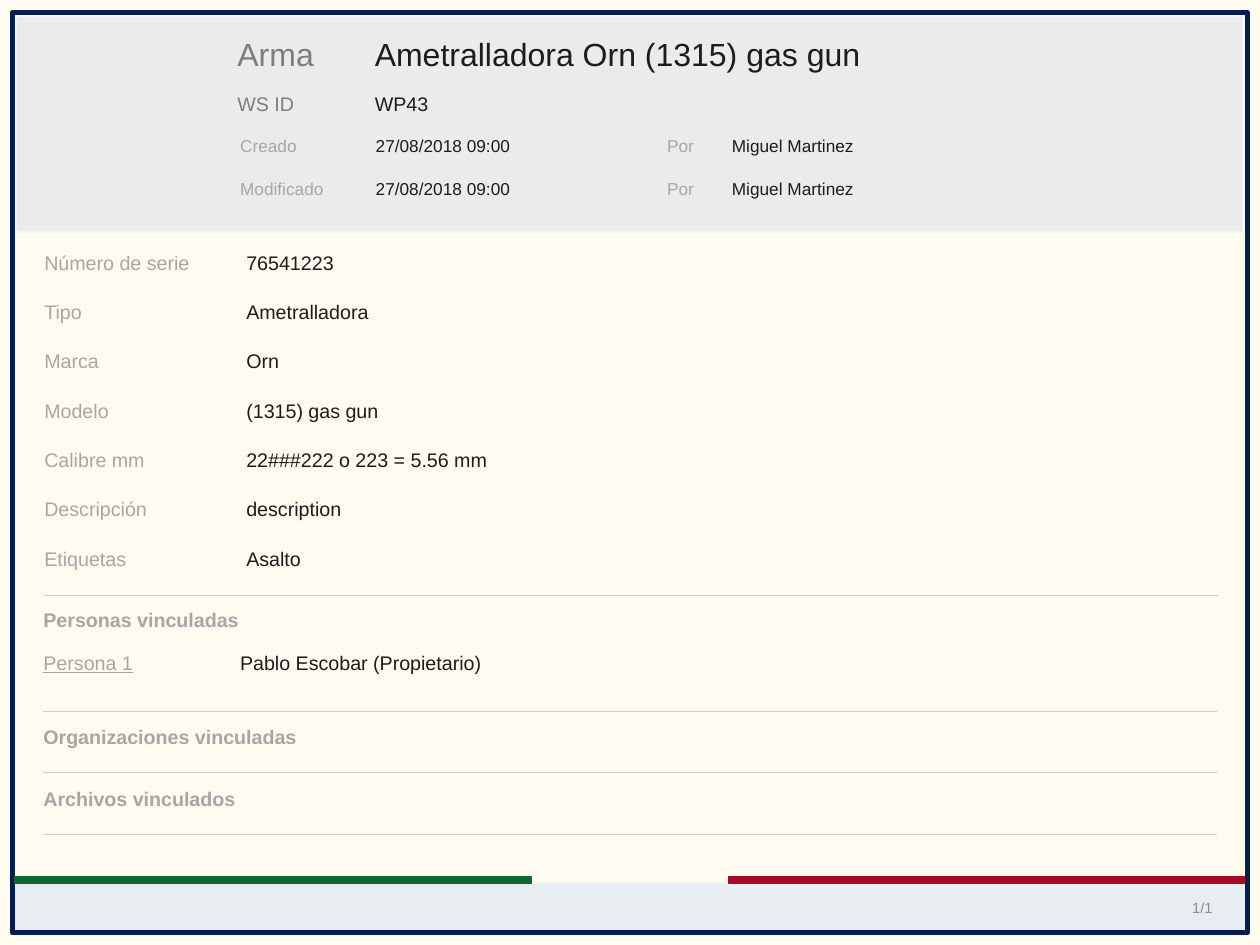
from dataclasses import dataclass

from lxml.etree import SubElement
from pptx import Presentation
from pptx.dml.color import RGBColor
from pptx.enum.shapes import MSO_CONNECTOR, MSO_SHAPE
from pptx.enum.text import MSO_ANCHOR, PP_ALIGN
from pptx.oxml.ns import qn
from pptx.util import Pt

SCALE = 9144


@dataclass(frozen=True)
class Theme:
    font: str = "Arial"
    back: str = "FFFBF0"
    navy: str = "051D49"
    green: str = "0E6732"
    red: str = "A60B2A"
    foot: str = "E8EDF2"
    head: str = "EBEBEB"
    edge: str = "F1F4F7"
    rule: str = "D1CBCB"
    ink: str = "1C1C1C"
    label: str = "A6A6A6"
    title: str = "7D7D7D"
    page: str = "8D8D8D"
    large: int = 26
    body: int = 16
    small: int = 14
    tiny: int = 12


THEME = Theme()

DETAILS = [
    ("Número de serie", "76541223"),
    ("Tipo", "Ametralladora"),
    ("Marca", "Orn"),
    ("Modelo", "(1315) gas gun"),
    ("Calibre mm", "22###222 o 223 = 5.56 mm"),
    ("Descripción", "description"),
    ("Etiquetas", "Asalto"),
]


def px(num):
    return num * SCALE


def color(code):
    return RGBColor.from_string(code)


def add_text(slide, text, x, y, width, height=42, size=THEME.body,
             tint=THEME.ink, bold=False, under=False, inset=0,
             align=PP_ALIGN.LEFT, anchor=MSO_ANCHOR.TOP):
    box = slide.shapes.add_textbox(px(x), px(y), px(width), px(height))
    frame = box.text_frame
    frame.word_wrap = True
    frame.vertical_anchor = anchor
    frame.margin_left = px(inset)
    frame.margin_top = frame.margin_right = frame.margin_bottom = 0
    para = frame.paragraphs[0]
    para.alignment = align
    run = para.add_run()
    run.text = text
    font = run.font
    font.name = THEME.font
    font.size = Pt(size)
    font.color.rgb = color(tint)
    if bold:
        font.bold = True
    if under:
        font.underline = True


def add_panel(slide, x, y, width, height, line, fill=None, weight=1):
    panel = slide.shapes.add_shape(
        MSO_SHAPE.RECTANGLE, px(x), px(y), px(width), px(height))
    panel.shadow.inherit = False
    if fill:
        panel.fill.solid()
        panel.fill.fore_color.rgb = color(fill)
    else:
        panel.fill.background()
    panel.line.color.rgb = color(line)
    panel.line.width = Pt(weight)


def add_rule(slide, x, y, width=1325):
    rule = slide.shapes.add_connector(
        MSO_CONNECTOR.STRAIGHT, px(x), px(y), px(x + width), px(y))
    rule.line.color.rgb = color(THEME.rule)
    rule.line.width = Pt(1)
    SubElement(rule._element.spPr, qn("a:effectLst"))


def add_frame(slide):
    add_panel(slide, 14, 997, 1392, 56, THEME.edge, fill=THEME.foot)
    add_panel(slide, 14, 14, 1394, 1039, THEME.navy, weight=4)
    add_text(slide, "1/1", 1325, 1003, 64, height=44, size=THEME.tiny,
             tint=THEME.page, align=PP_ALIGN.CENTER, anchor=MSO_ANCHOR.MIDDLE)
    for x, tint in [(822, THEME.red), (17, THEME.green)]:
        add_panel(slide, x, 990, 583, 7, tint, fill=tint)


def add_header(slide):
    add_panel(slide, 19, 19, 1383, 243, THEME.edge, fill=THEME.head)
    heads = [
        ("Arma", "Ametralladora Orn (1315) gas gun", 39, 65, THEME.large),
        ("WS ID", "WP43", 104, 42, THEME.body),
    ]
    for label, value, y, height, size in heads:
        add_text(slide, label, 262, y, 154, height=height, size=size,
                 tint=THEME.title, inset=6)
        add_text(slide, value, 417, y, 943, height=height, size=size, inset=6)
    for action, y in [("Creado", 153), ("Modificado", 201)]:
        cells = [
            (action, 271, 153, THEME.label),
            ("27/08/2018 09:00", 424, 278, THEME.ink),
            ("Por", 753, 74, THEME.label),
            ("Miguel Martinez", 826, 534, THEME.ink),
        ]
        for text, x, width, tint in cells:
            add_text(slide, text, x, y, width, size=THEME.small, tint=tint)


def add_details(slide):
    for i, (label, value) in enumerate(DETAILS):
        y = 283 + round(i * 167 / 3)
        add_text(slide, label, 50, y, 222, tint=THEME.label)
        add_text(slide, value, 272, y, 1081, inset=6)


def add_links(slide):
    add_rule(slide, 50, 672)
    parts = [
        ("Personas vinculadas", 686, 803),
        ("Organizaciones vinculadas", 818, 872),
        ("Archivos vinculados", 888, 942),
    ]
    for text, y, end in parts:
        add_text(slide, text, 49, y, 836, tint=THEME.label, bold=True)
        add_rule(slide, 49, end)
    add_text(slide, "Persona 1", 49, 735, 222, tint=THEME.label, under=True)
    add_text(slide, "Pablo Escobar (Propietario)", 271, 735, 833)


def main():
    deck = Presentation()
    deck.slide_width, deck.slide_height = px(1422), px(1067)
    slide = deck.slides.add_slide(deck.slide_layouts[6])
    slide.background.fill.solid()
    slide.background.fill.fore_color.rgb = color(THEME.back)
    add_frame(slide)
    add_details(slide)
    add_links(slide)
    add_header(slide)
    deck.save("out.pptx")


if __name__ == "__main__":
    main()
